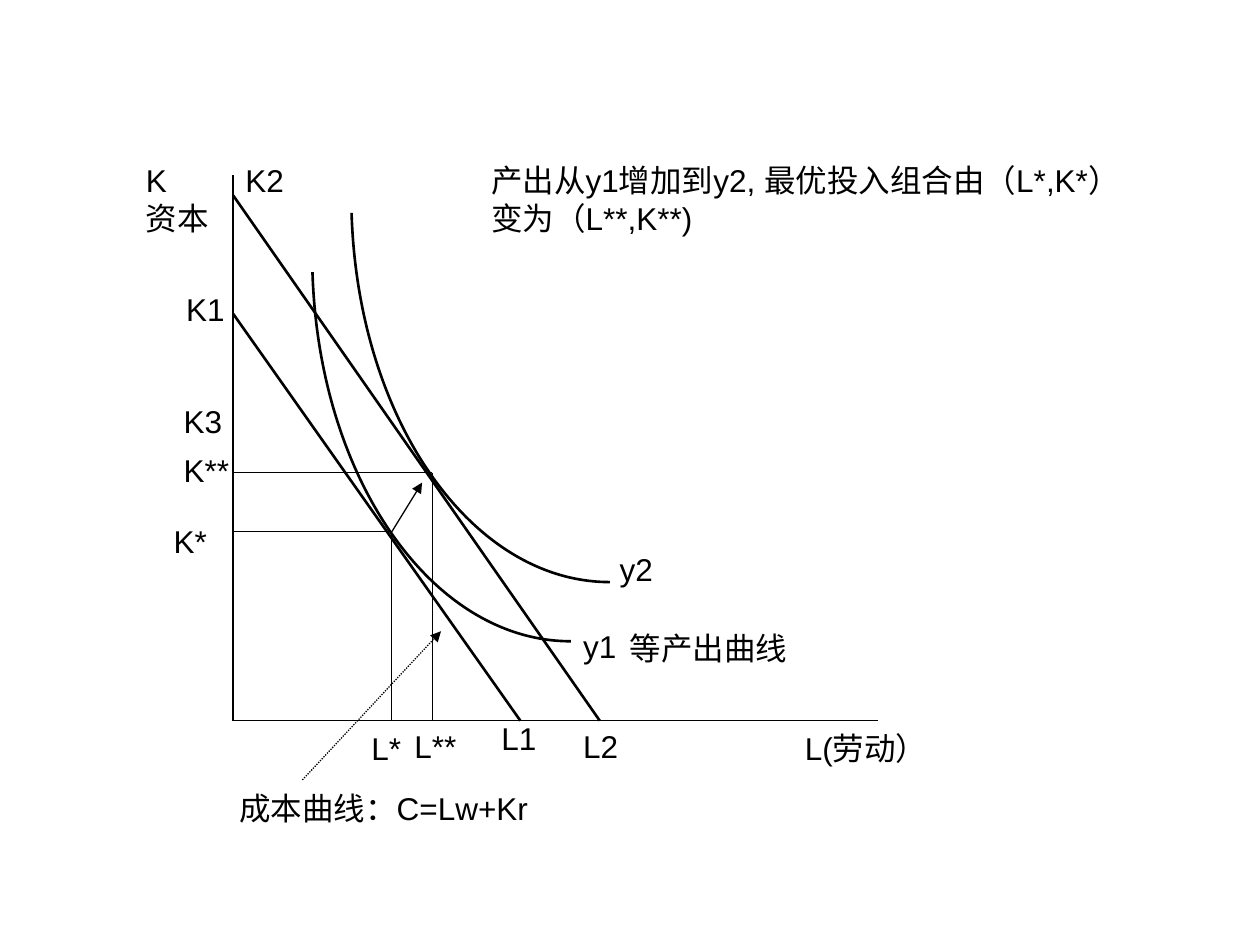
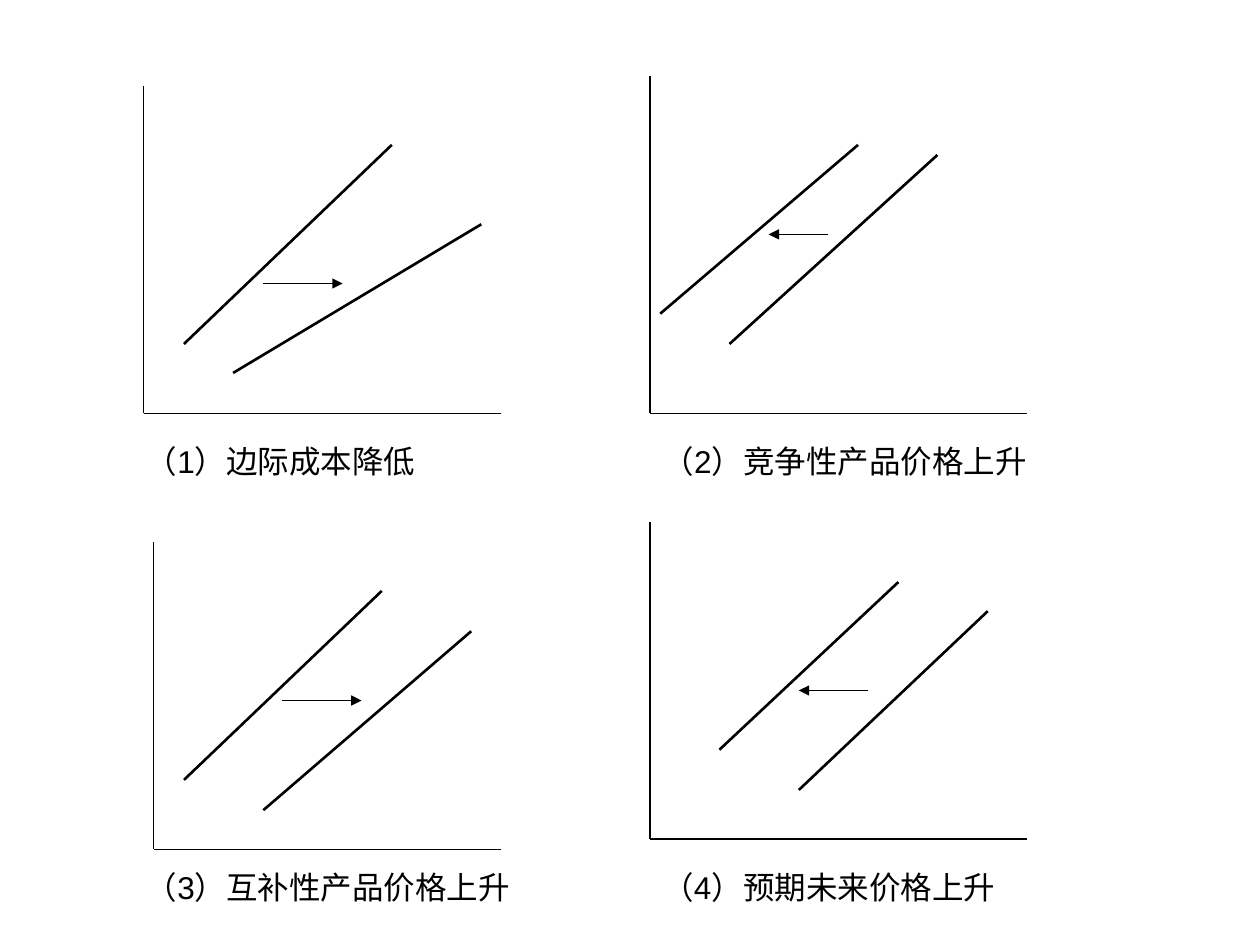
from dataclasses import dataclass

import lxml.etree
import pptx
import pptx.dml.color
import pptx.enum.dml
import pptx.enum.shapes
import pptx.enum.text
import pptx.oxml.ns
import pptx.slide
import pptx.util

Inches = pptx.util.Inches
Pt = pptx.util.Pt
qn = pptx.oxml.ns.qn
Point = tuple[float, float]

BLACK = pptx.dml.color.RGBColor(0x00, 0x00, 0x00)
FONT = "Arial"
TEXT_SIZE = Pt(18)
THIN, THICK = Pt(0.75), Pt(1.5)


@dataclass(frozen=True)
class Line:
    start: Point
    end: Point
    weight: int = THIN
    arrow: bool = False
    dotted: bool = False


@dataclass(frozen=True)
class Label:
    text: str
    left: float
    top: float
    width: float
    height: float = 0.4


@dataclass(frozen=True)
class SupplyShift:
    """One panel: axes, two supply lines, the arrow between them and a caption."""
    axis_top: float
    origin: Point
    axis_right: float
    supply_lines: tuple[tuple[Point, Point], ...]
    shift: tuple[Point, Point]
    caption: Label


def draw_line(slide: pptx.slide.Slide, line: Line) -> None:
    connector = slide.shapes.add_connector(
        pptx.enum.shapes.MSO_CONNECTOR.STRAIGHT,
        *(Inches(value) for value in line.start + line.end))
    connector.line.color.rgb = BLACK
    connector.line.width = line.weight
    if line.dotted:
        connector.line.dash_style = pptx.enum.dml.MSO_LINE.ROUND_DOT
    properties = connector.element.spPr
    if line.arrow:
        lxml.etree.SubElement(properties.find(qn("a:ln")), qn("a:tailEnd"), type="triangle")
    lxml.etree.SubElement(properties, qn("a:effectLst"))


def draw_label(slide: pptx.slide.Slide, label: Label) -> None:
    """Draw a label with no right inset, so that its lines never break early."""
    box = slide.shapes.add_textbox(
        Inches(label.left), Inches(label.top), Inches(label.width), Inches(label.height))
    frame = box.text_frame
    frame.word_wrap = True
    frame.margin_right = 0
    frame.auto_size = pptx.enum.text.MSO_AUTO_SIZE.NONE
    frame.text = label.text
    for paragraph in frame.paragraphs:
        paragraph.font.name = FONT
        paragraph.font.size = TEXT_SIZE
        paragraph.font.color.rgb = BLACK


def draw_isoquant(slide: pptx.slide.Slide, right: float, bottom: float) -> None:
    """Draw a convex curve that ends level at (right, bottom), as one Bézier segment."""
    start, *controls = [(Inches(right + dx), Inches(bottom + dy)) for dx, dy in
                        ((0, 0), (-1.1, 0), (-2, -1.29), (-2.05, -2.93))]
    builder = slide.shapes.build_freeform(*start)
    builder.add_line_segments(controls, close=False)
    curve = builder.convert_to_shape()
    curve.shadow.inherit = False
    curve.fill.background()
    curve.line.color.rgb = BLACK
    curve.line.width = THICK

    outline = next(curve.element.iter(qn("a:path")))
    bezier = lxml.etree.SubElement(outline, qn("a:cubicBezTo"))
    for segment in outline.findall(qn("a:lnTo")):
        bezier.append(segment[0])
        outline.remove(segment)


def draw_axes(slide: pptx.slide.Slide, top: float, origin: Point, right: float) -> None:
    draw_line(slide, Line((origin[0], top), origin))
    draw_line(slide, Line(origin, (right, origin[1])))


def draw_supply_shift(slide: pptx.slide.Slide, panel: SupplyShift) -> None:
    draw_axes(slide, panel.axis_top, panel.origin, panel.axis_right)
    for start, end in panel.supply_lines:
        draw_line(slide, Line(start, end, THICK))
    draw_line(slide, Line(*panel.shift, arrow=True))
    draw_label(slide, panel.caption)


ORIGIN_X, ORIGIN_Y = 1.85, 5.72
OPTIMUM_1, OPTIMUM_2 = (3.11, 4.22), (3.43, 3.75)
ISOQUANT_ENDS = ((4.53, 5.09), (4.84, 4.62))

INPUT_LINES = (
    Line((ORIGIN_X, 2.49), (4.13, ORIGIN_Y), THICK),
    Line((ORIGIN_X, 1.55), (4.76, ORIGIN_Y), THICK),
    Line(OPTIMUM_1, (3.35, 3.83), arrow=True),
    Line((2.4, 6.19), (3.5, 5.01), arrow=True, dotted=True),
)

INPUT_LABELS = (
    Label("K\n资本", 1.06, 1.23, 0.7, 0.7),
    Label("K2", 1.85, 1.23, 0.5),
    Label("K1", 1.38, 2.25, 0.5),
    Label("K3", 1.36, 3.14, 0.5),
    Label("K**", 1.36, 3.53, 0.56),
    Label("K*", 1.28, 4.09, 0.46),
    Label("L*", 2.85, 5.74, 0.43),
    Label("L**", 3.19, 5.72, 0.53),
    Label("L1", 3.88, 5.66, 0.48),
    Label("L2", 4.53, 5.72, 0.48),
    Label("L(劳动）", 6.29, 5.74, 1.23),
    Label("y1", 4.53, 4.93, 0.46),
    Label("等产出曲线", 4.9, 4.94, 1.45),
    Label("y2", 4.82, 4.32, 0.46),
    Label("成本曲线：C=Lw+Kr", 1.8, 6.21, 2.55),
    Label("产出从y1增加到y2, 最优投入组合由（L*,K*）\n变为（L**,K**)", 3.8, 1.23, 5.54, 1),
)

SUPPLY_SHIFTS = (
    SupplyShift(0.68, (1.14, 3.28), 3.98,
                (((1.46, 2.73), (3.11, 1.15)), ((1.85, 2.96), (3.82, 1.78))),
                ((2.09, 2.25), (2.72, 2.25)),
                Label("（1）边际成本降低", 1.06, 3.46, 2.46)),
    SupplyShift(0.6, (5.16, 3.28), 8.15,
                (((5.79, 2.73), (7.44, 1.23)), ((5.24, 2.49), (6.81, 1.15))),
                ((6.57, 1.86), (6.1, 1.86)),
                Label("（2）竞争性产品价格上升", 5.16, 3.46, 3.21)),
    SupplyShift(4.3, (1.22, 6.74), 3.98,
                (((1.46, 6.19), (3.03, 4.69)), ((2.09, 6.43), (3.74, 5.01))),
                ((2.24, 5.56), (2.87, 5.56)),
                Label("（3）互补性产品价格上升", 1.06, 6.84, 3.21)),
    SupplyShift(4.14, (5.16, 6.66), 8.15,
                (((5.71, 5.95), (7.13, 4.62)), ((6.34, 6.27), (7.84, 4.85))),
                ((6.89, 5.48), (6.34, 5.48)),
                Label("（4）预期未来价格上升", 5.16, 6.84, 2.96)),
)


def draw_input_choice(slide: pptx.slide.Slide) -> None:
    draw_axes(slide, 1.39, (ORIGIN_X, ORIGIN_Y), 6.97)
    for right, bottom in ISOQUANT_ENDS:
        draw_isoquant(slide, right, bottom)
    for labour, capital in (OPTIMUM_1, OPTIMUM_2):
        draw_line(slide, Line((labour, capital), (ORIGIN_X, capital)))
        draw_line(slide, Line((labour, capital), (labour, ORIGIN_Y)))
    for line in INPUT_LINES:
        draw_line(slide, line)
    for label in INPUT_LABELS:
        draw_label(slide, label)


def main() -> None:
    deck = pptx.Presentation()
    deck.slide_width, deck.slide_height = Inches(10), Inches(7.5)
    blank = deck.slide_layouts[6]
    draw_input_choice(deck.slides.add_slide(blank))
    supply_slide = deck.slides.add_slide(blank)
    for panel in SUPPLY_SHIFTS:
        draw_supply_shift(supply_slide, panel)
    deck.save("out.pptx")


if __name__ == "__main__":
    main()
